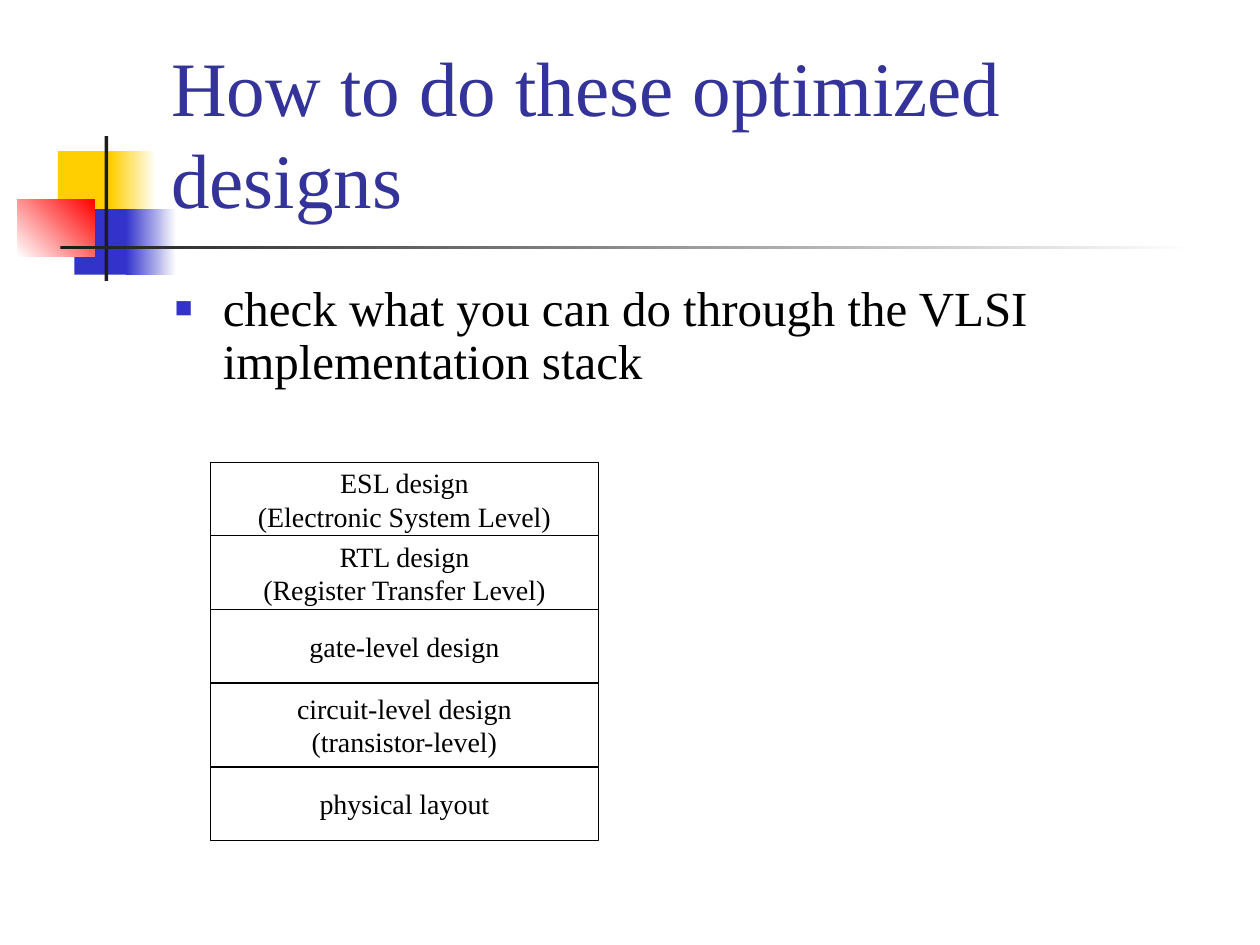
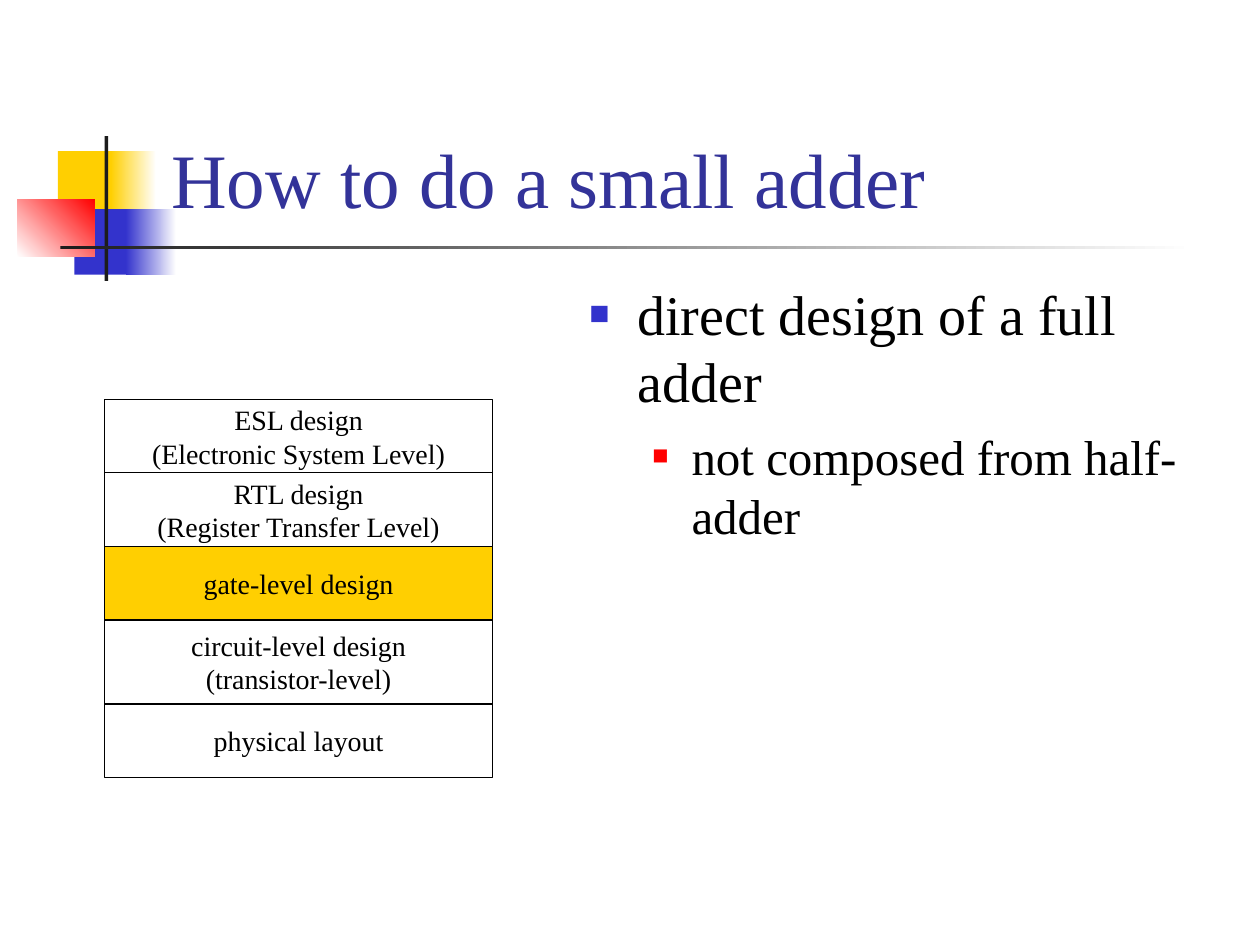
"""Builds two slides on optimized design through the VLSI stack."""
from lxml.etree import SubElement
from pptx import Presentation
from pptx.dml.color import RGBColor
from pptx.enum.shapes import MSO_SHAPE
from pptx.enum.text import MSO_ANCHOR, PP_ALIGN
from pptx.oxml.ns import qn
from pptx.util import Inches, Pt

FONT = "Times New Roman"
BLACK, WHITE, DARK = "000000", "FFFFFF", "1C1C1C"
GOLD, BLUE, RED, NAVY = "FFCF01", "3333CC", "FF0000", "333399"

DECOR = [
    ((0.46, 1.2, 0.48, 0.52), [GOLD], 0),
    ((0.88, 1.2, 0.36, 0.52), [GOLD, WHITE], 0),
    ((0.59, 1.66, 0.46, 0.52), [BLUE], 0),
    ((1, 1.66, 0.4, 0.52), [BLUE, WHITE], 0),
    ((0.14, 1.58, 0.61, 0.46), [WHITE, RED], 45),
    ((0.83, 1.08, 0.03, 1.15), [DARK], 0),
    ((0.48, 1.95, 9, 0.03), [DARK, WHITE], 0),
]
STACK = [
    (["ESL design", "(Electronic System Level)"], 7 / 12),
    (["RTL design", "(Register Transfer Level)"], 7 / 12),
    (["gate-level design"], 7 / 12),
    (["circuit-level design", "(transistor-level)"], 8 / 12),
    (["physical layout"], 7 / 12),
]
LEVELS = [
    {"left": 0.38, "hang": 0.38, "color": BLUE, "scale": 60},
    {"left": 0.81, "hang": 0.31, "color": RED, "scale": 55},
]
SLIDES = [
    {
        "title": "How to do these optimized designs",
        "body": (1.29, 2.21, 8.5, 0.96),
        "items": [("check what you can do through the VLSI implementation stack", 0, 28)],
        "pitch": 0.9,
        "stack": (1.67, 3.67),
        "mark": None,
    },
    {
        "title": "How to do a small adder",
        "body": (4.58, 2.17, 5.25, 4.5),
        "items": [("direct design of a full adder", 0, 32), ("not composed from half-adder", 1, 28)],
        "pitch": None,
        "stack": (0.83, 3.17),
        "mark": 2,
    },
]


def rgb(code):
    return RGBColor.from_string(code)


def style(para, size, color=BLACK):
    para.font.name = FONT
    para.font.size = Pt(size)
    para.font.color.rgb = rgb(color)


def add_rect(slide, area, colors, angle=0):
    rect = slide.shapes.add_shape(MSO_SHAPE.RECTANGLE, *map(Inches, area))
    rect.shadow.inherit = False
    rect.line.fill.background()
    if len(colors) == 2:
        rect.fill.gradient()
        rect.fill.gradient_angle = angle
        for stop, color in zip(rect.fill.gradient_stops, colors):
            stop.color.rgb = rgb(color)
    elif colors:
        rect.fill.solid()
        rect.fill.fore_color.rgb = rgb(colors[0])
    else:
        rect.fill.background()
    return rect


def add_text(slide, area):
    frame = slide.shapes.add_textbox(*map(Inches, area)).text_frame
    frame.word_wrap = True
    return frame


def add_title(slide, text):
    frame = add_text(slide, (1.26, 0.23, 8.52, 1.6))
    frame.vertical_anchor = MSO_ANCHOR.BOTTOM
    frame.text = text
    style(frame.paragraphs[0], 44, NAVY)


def add_bullet(para, level):
    props = para._p.get_or_add_pPr()
    props.set("marL", str(Inches(level["left"])))
    props.set("indent", str(-Inches(level["hang"])))
    tint = SubElement(props, qn("a:buClr"))
    SubElement(tint, qn("a:srgbClr"), val=level["color"])
    SubElement(props, qn("a:buSzPct"), val=str(level["scale"] * 1000))
    SubElement(props, qn("a:buFont"), typeface=FONT)
    SubElement(props, qn("a:buChar"), char="■")


def add_body(slide, area, items, pitch):
    frame = add_text(slide, area)
    for pos, (text, depth, size) in enumerate(items):
        para = frame.add_paragraph() if pos else frame.paragraphs[0]
        para.text = text
        para.level = depth
        add_bullet(para, LEVELS[depth])
        if pitch:
            para.line_spacing = pitch
        if pos:
            para.space_before = Pt(7)
        style(para, size)


def add_stack(slide, left, top, mark):
    for row, (lines, height) in enumerate(STACK):
        box = add_rect(slide, (left, top, 3.08, height), [GOLD] if row == mark else [])
        box.line.color.rgb = rgb(BLACK)
        box.line.width = Pt(0.75)
        frame = box.text_frame
        frame.word_wrap = False
        frame.vertical_anchor = MSO_ANCHOR.MIDDLE
        frame.text = "\n".join(lines)
        for para in frame.paragraphs:
            para.alignment = PP_ALIGN.CENTER
            style(para, 16)
        top += height


def main():
    deck = Presentation()
    deck.slide_width, deck.slide_height = Inches(10), Inches(7.5)
    for page in SLIDES:
        slide = deck.slides.add_slide(deck.slide_layouts[6])
        for area, colors, angle in DECOR:
            add_rect(slide, area, colors, angle)
        add_title(slide, page["title"])
        add_body(slide, page["body"], page["items"], page["pitch"])
        add_stack(slide, *page["stack"], page["mark"])
    deck.save("out.pptx")


if __name__ == "__main__":
    main()
